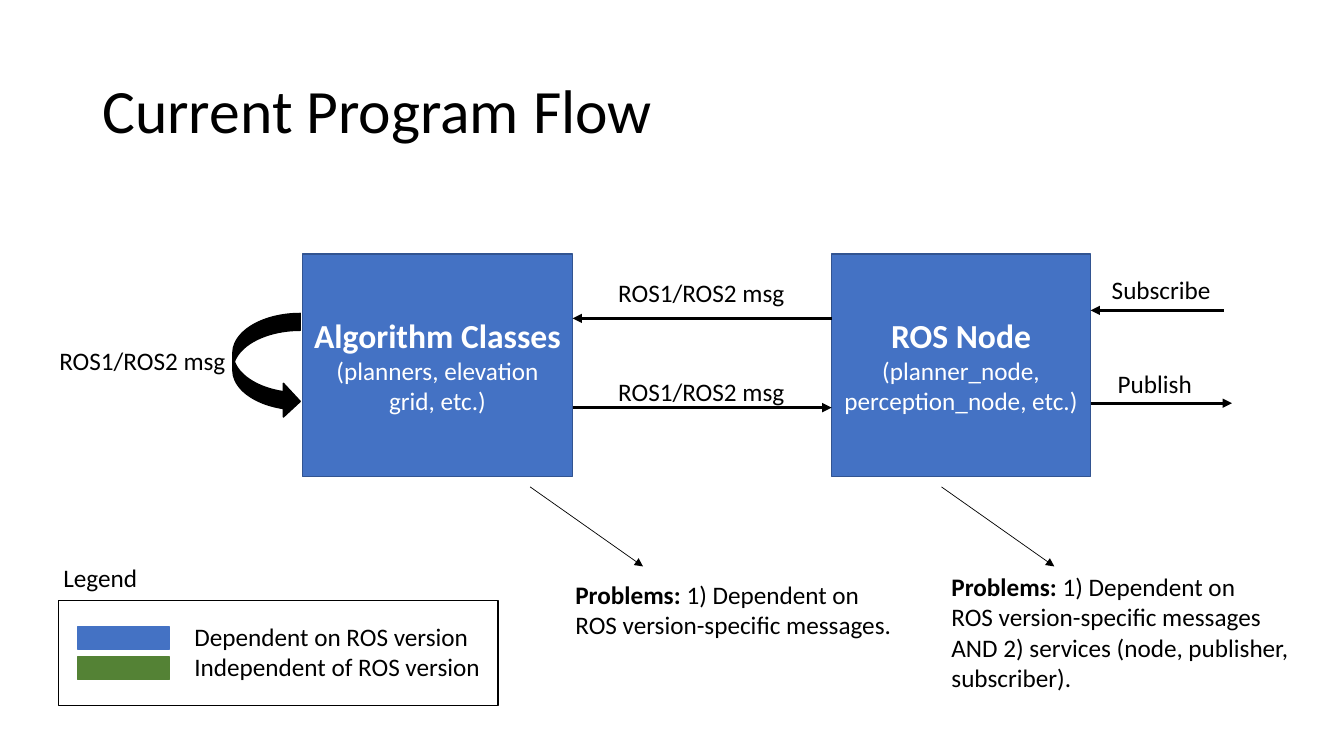
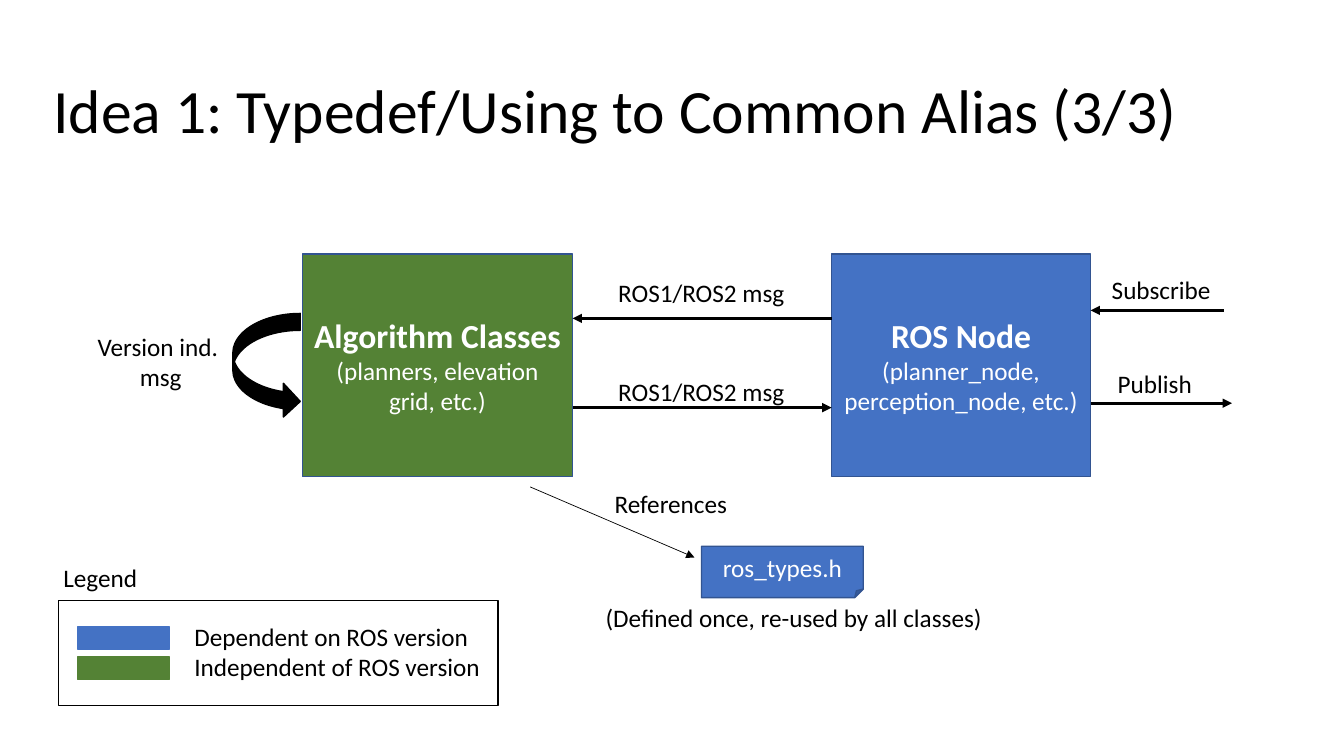
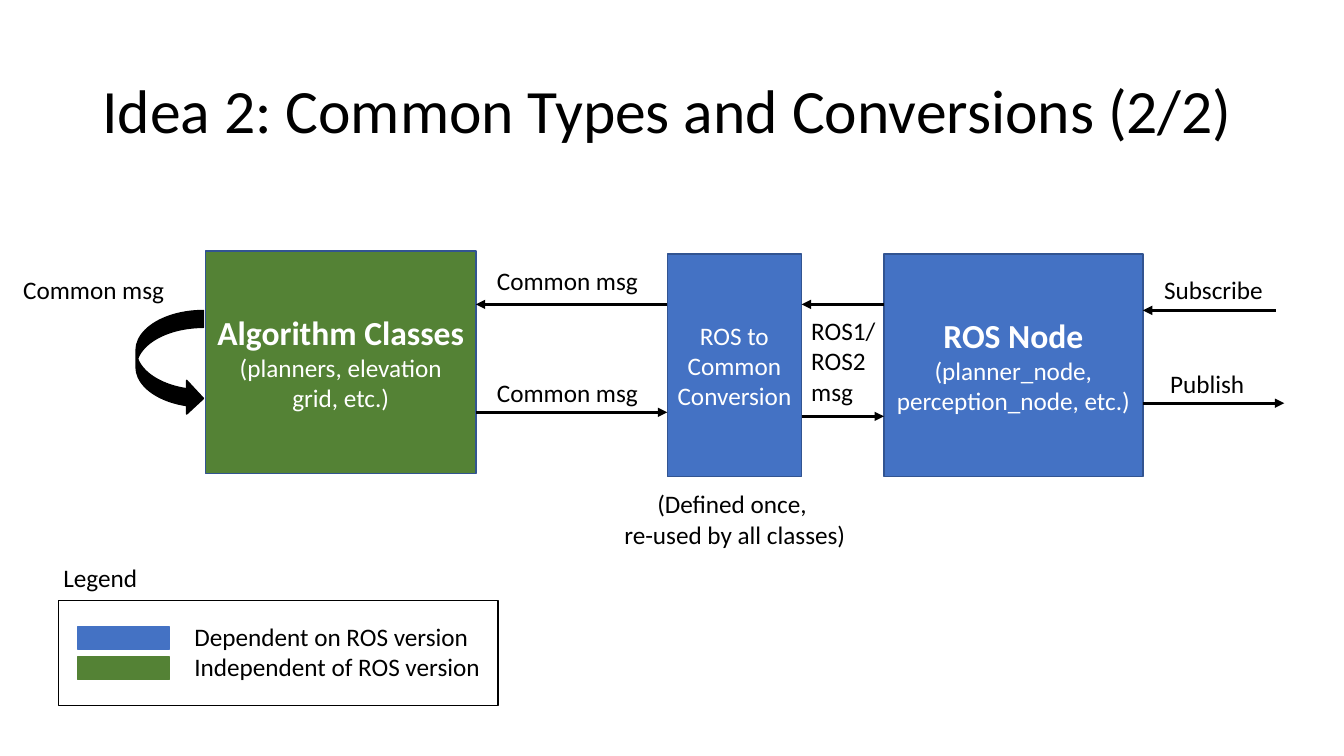
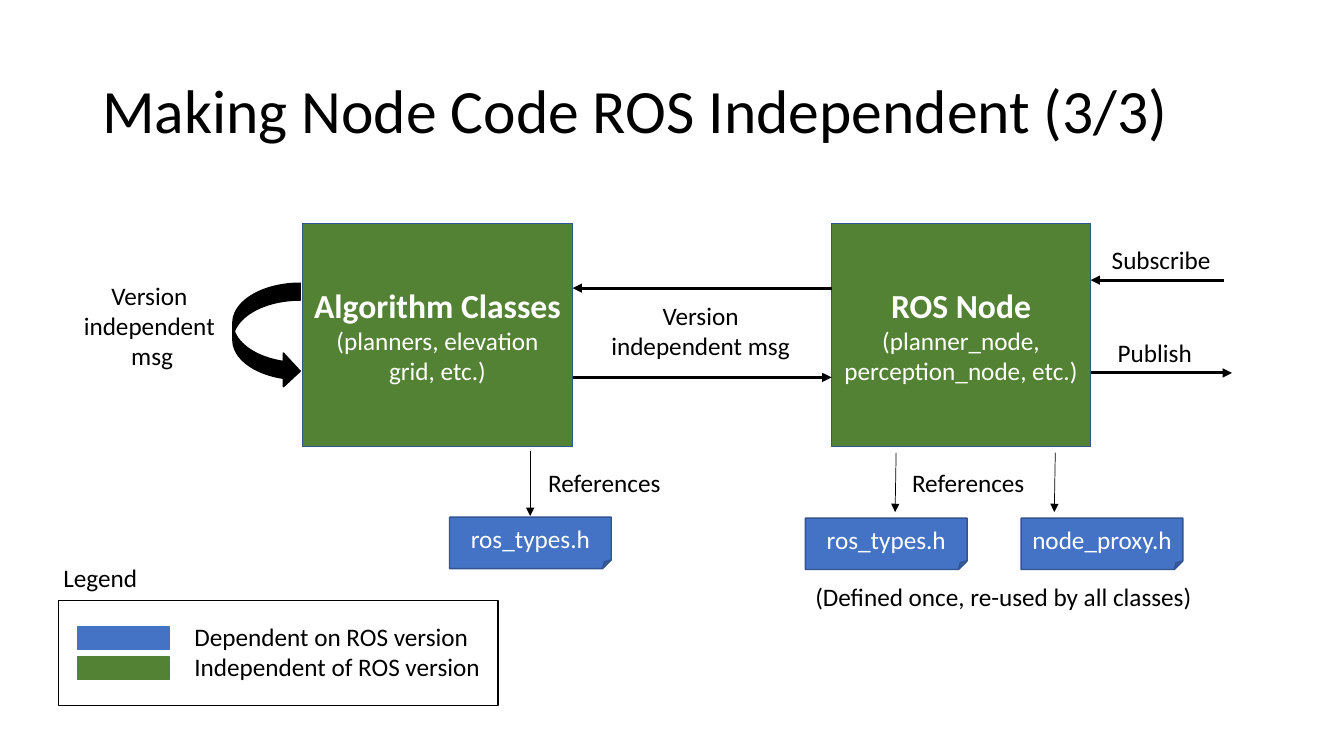
from dataclasses import dataclass

from lxml.etree import SubElement
from pptx import Presentation
from pptx.dml.color import RGBColor
from pptx.enum.shapes import MSO_CONNECTOR as Connector, MSO_SHAPE as Preset
from pptx.enum.text import MSO_ANCHOR as Anchor, MSO_AUTO_SIZE as AutoSize, PP_ALIGN as Align
from pptx.oxml.ns import qn
from pptx.util import Pt


@dataclass(frozen=True)
class Theme:
    font: str = "Calibri"
    black: RGBColor = RGBColor(0x00, 0x00, 0x00)
    white: RGBColor = RGBColor(0xFF, 0xFF, 0xFF)
    dependent: RGBColor = RGBColor(0x44, 0x72, 0xC4)
    independent: RGBColor = RGBColor(0x54, 0x82, 0x35)
    outline: RGBColor = RGBColor(0x32, 0x54, 0x91)
    title_size: int = 44
    heading_size: int = 24
    body_size: int = 18
    thick: float = 2.25
    thin: float = 0.5


THEME = Theme()
BOX_HEIGHT = 159.1
ALGORITHM_WIDTH = 193
NODE_WIDTH = 185
ALGORITHM_LEFT = 216
NODE_LEFT = 594
FLOW_TOP = 181.4
REUSE_NOTE = "(Defined once, re-used by all classes)"
REUSE_WIDTH = 286.6


def style_paragraph(paragraph, size=THEME.body_size, color=THEME.black, bold=False, align=Align.LEFT):
    paragraph.alignment = align
    for run in paragraph.runs:
        run.font.name = THEME.font
        run.font.size = Pt(size)
        run.font.bold = bold
        run.font.color.rgb = color


def add_title(slide, text, left=66, width=828):
    shape = slide.shapes.add_textbox(Pt(left), Pt(28.8), Pt(width), Pt(104.4))
    text_frame = shape.text_frame
    text_frame.word_wrap = True
    text_frame.vertical_anchor = Anchor.MIDDLE
    text_frame.text = text
    paragraph = text_frame.paragraphs[0]
    paragraph.line_spacing = 0.9
    style_paragraph(paragraph, THEME.title_size)


def add_label(slide, text, left, top, width, align=Align.LEFT, wrap=False):
    lines = 2 if wrap else len(text.split("\n"))
    shape = slide.shapes.add_textbox(Pt(left), Pt(top), Pt(width), Pt(7.3 + 21.8 * lines))
    text_frame = shape.text_frame
    text_frame.word_wrap = wrap
    text_frame.auto_size = AutoSize.SHAPE_TO_FIT_TEXT
    text_frame.text = text
    for paragraph in text_frame.paragraphs:
        style_paragraph(paragraph, align=align)
    return shape


def add_problems(slide, text, left, top, width):
    lead = "Problems:"
    shape = add_label(slide, f"{lead} {text}", left, top, width)
    paragraph = shape.text_frame.paragraphs[0]
    remainder = paragraph.text.removeprefix(lead)
    paragraph.text = lead
    paragraph.add_run().text = remainder
    style_paragraph(paragraph)
    paragraph.runs[0].font.bold = True


def add_box(slide, left, top, width, height, fill, outline, preset=Preset.RECTANGLE):
    shape = slide.shapes.add_shape(preset, Pt(left), Pt(top), Pt(width), Pt(height))
    shape.shadow.inherit = False
    shape.fill.solid()
    shape.fill.fore_color.rgb = fill
    shape.line.color.rgb = outline
    shape.line.width = Pt(1)
    return shape


def add_text_box_shape(slide, text, left, top, width, height, fill, heading=False, preset=Preset.RECTANGLE):
    shape = add_box(slide, left, top, width, height, fill, THEME.outline, preset)
    text_frame = shape.text_frame
    text_frame.word_wrap = True
    text_frame.vertical_anchor = Anchor.MIDDLE
    text_frame.text = text
    for index, paragraph in enumerate(text_frame.paragraphs):
        is_heading = heading and index == 0
        size = THEME.heading_size if is_heading else THEME.body_size
        style_paragraph(paragraph, size, THEME.white, is_heading, Align.CENTER)


def add_file(slide, name, left, top):
    add_text_box_shape(slide, name, left, top, 115.5, 36.7, THEME.dependent, preset=Preset.FOLDED_CORNER)


def add_arrow(slide, start, end, width=THEME.thick):
    connector = slide.shapes.add_connector(Connector.STRAIGHT, *map(Pt, start + end))
    connector.line.color.rgb = THEME.black
    connector.line.width = Pt(width)
    properties = connector.element.spPr
    SubElement(properties.find(qn("a:ln")), qn("a:tailEnd"), type="triangle")
    SubElement(properties, qn("a:effectLst"))


def add_exchange(slide, left, right, back_y, forward_y):
    add_arrow(slide, (right, back_y), (left, back_y))
    add_arrow(slide, (left, forward_y), (right, forward_y))


def add_algorithm(slide, fill, left=ALGORITHM_LEFT, top=FLOW_TOP):
    add_text_box_shape(slide, "Algorithm Classes\n(planners, elevation grid, etc.)",
                       left, top, ALGORITHM_WIDTH, BOX_HEIGHT, fill, heading=True)
    add_box(slide, left - 49.7, top + 42.5, 48.2, 74.9, THEME.black, THEME.black, Preset.CURVED_RIGHT_ARROW)


def add_ros_node(slide, fill, left=NODE_LEFT, top=FLOW_TOP):
    add_text_box_shape(slide, "ROS Node\n(planner_node, perception_node, etc.)",
                       left, top, NODE_WIDTH, BOX_HEIGHT, fill, heading=True)
    right = left + NODE_WIDTH
    add_arrow(slide, (right + 95, top + 40.3), (right, top + 40.3))
    add_arrow(slide, (right, top + 106.6), (right + 101, top + 106.6))
    add_label(slide, "Subscribe", right + 8, top + 11.3, 85.7)
    add_label(slide, "Publish", right + 12.3, top + 77.8, 68.4)


def add_two_box_flow(slide, algorithm_fill, node_fill, top=FLOW_TOP):
    add_algorithm(slide, algorithm_fill, top=top)
    add_ros_node(slide, node_fill, top=top)
    add_exchange(slide, ALGORITHM_LEFT + ALGORITHM_WIDTH, NODE_LEFT, top + 46, top + 109.8)


def add_message_labels(slide, text, left, tops, width):
    for top in tops:
        add_label(slide, text, left, top, width)


def add_legend(slide):
    add_label(slide, "Legend", 38.2, 398.2, 67.7)
    add_box(slide, 41.8, 429.1, 313.9, 74.9, THEME.white, THEME.black)
    for index, color in enumerate((THEME.dependent, THEME.independent)):
        add_box(slide, 55.4, 447.8 + 21.6 * index, 65.5, 15.8, color, color)
    add_label(slide, "Dependent on ROS version\nIndependent of ROS version", 131.8, 440, 221)


def build_current_flow(slide):
    add_title(slide, "Current Program Flow")
    add_two_box_flow(slide, THEME.dependent, THEME.dependent)
    add_message_labels(slide, "ROS1/ROS2 msg", 434.5, (194.4, 265), 134.6)
    add_label(slide, "ROS1/ROS2 msg", 35.3, 243.4, 134.6)
    for left in (378.7, 672.5):
        add_arrow(slide, (left, 347.8), (left + 80.6, 404.6), THEME.thin)
    add_problems(slide, "1) Dependent on\nROS version-specific messages.", 403.9, 410.4, 242.6)
    add_problems(slide, "1) Dependent on\nROS version-specific messages\n"
                 "AND 2) services (node, publisher,\nsubscriber).", 672.5, 404.6, 262.8)


def build_common_alias(slide):
    add_title(slide, "Idea 1: Typedef/Using to Common Alias (3/3)", 31, 878)
    add_two_box_flow(slide, THEME.independent, THEME.dependent)
    add_message_labels(slide, "ROS1/ROS2 msg", 434.5, (194.4, 265), 134.6)
    add_label(slide, "Version ind. \nmsg", 61.9, 233.3, 105.8, Align.CENTER)
    add_arrow(slide, (378.7, 347.8), (496.1, 398.2), THEME.thin)
    add_label(slide, "References", 432, 344.9, 95.8)
    add_file(slide, "ros_types.h", 501.1, 390.2)
    add_label(slide, REUSE_NOTE, 425.5, 427, REUSE_WIDTH)


def build_common_types(slide):
    algorithm_left, conversion_left, conversion_width, node_left = 146.9, 476.6, 96, 631.4
    add_title(slide, "Idea 2: Common Types and Conversions (2/2)")
    add_algorithm(slide, THEME.independent, algorithm_left, 179.3)
    add_text_box_shape(slide, "ROS to Common Conversion", conversion_left, FLOW_TOP,
                       conversion_width, BOX_HEIGHT, THEME.dependent)
    add_ros_node(slide, THEME.dependent, node_left)
    add_exchange(slide, algorithm_left + ALGORITHM_WIDTH, conversion_left, 217.4, 294.5)
    add_exchange(slide, conversion_left + conversion_width, node_left, 217.4, 297.4)
    add_label(slide, "Common msg", 9.4, 192.2, 116.6)
    add_message_labels(slide, "Common msg", 347.8, (185.8, 265.7), 116.6)
    add_label(slide, "ROS1/\nROS2\nmsg", 572.4, 221.8, 60.5)
    add_label(slide, "(Defined once, \nre-used by all classes)", 437.8, 345.6, 174.2, Align.CENTER)


def build_independent_node(slide):
    add_title(slide, "Making Node Code ROS Independent (3/3)")
    add_two_box_flow(slide, THEME.independent, THEME.independent, 159.8)
    add_label(slide, "Version \nindependent \nmsg", 51.8, 196.6, 113.8, Align.CENTER)
    add_label(slide, "Version independent msg", 427, 211, 146.9, Align.CENTER, wrap=True)
    add_arrow(slide, (378.7, 321.8), (378.7, 368.6), THEME.thin)
    for left in (640.1, 753.8):
        add_arrow(slide, (left, 323.3), (left - 0.7, 365.8), THEME.thin)
    for left in (384.5, 644.4):
        add_label(slide, "References", left, 330.5, 95.8)
    add_file(slide, "ros_types.h", 321.1, 369.4)
    add_file(slide, "ros_types.h", 575.3, 370.1)
    add_file(slide, "node_proxy.h", 729.4, 370.1)
    add_label(slide, REUSE_NOTE, 575.3, 411.8, REUSE_WIDTH)


def main():
    presentation = Presentation()
    presentation.slide_width = Pt(960)
    presentation.slide_height = Pt(540)
    blank = presentation.slide_layouts[6]
    for build in (build_current_flow, build_common_alias, build_common_types, build_independent_node):
        slide = presentation.slides.add_slide(blank)
        build(slide)
        add_legend(slide)
    presentation.save("out.pptx")


if __name__ == "__main__":
    main()
